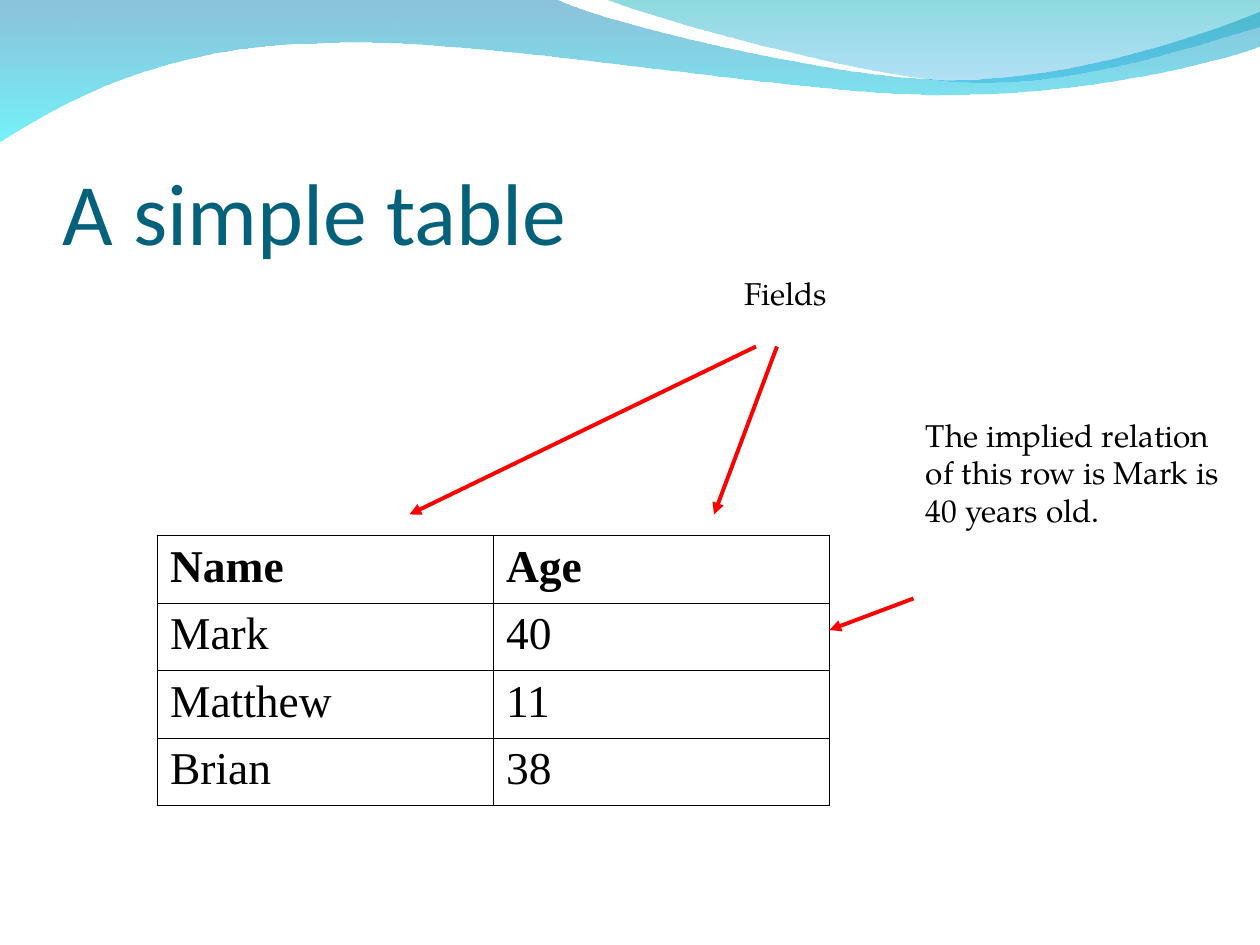
from lxml.etree import SubElement
from pptx import Presentation
from pptx.dml.color import RGBColor as RGB
from pptx.enum.shapes import MSO_CONNECTOR as CONN
from pptx.enum.text import MSO_ANCHOR as ANCHOR
from pptx.oxml.ns import qn
from pptx.util import Emu, Pt

SCALE = 914400 / 252
COLORS = {"title": "04617B", "text": "000000", "border": "000000", "arrow": "FF0000",
          "wave_blue": "0079AF", "wave_cyan": "00EBF8",
          "veil_teal": "00ADB6", "veil_blue": "009BE5"}
TITLE = {"name": "Calibri", "size": Pt(50)}
NOTE = {"name": "TeX Gyre Pagella", "size": Pt(18)}
CELL = {"name": "Times New Roman", "size": Pt(26), "bold": False}
HEADER = {**CELL, "bold": True}
ROWS = [("Name", "Age"), ("Mark", "40"), ("Matthew", "11"), ("Brian", "38")]
WAVE = [(0, -3), (1109, -3), (1200, 43, 1673, 159, 1910, 159),
        (2150, 159, 2414, 66, 2520, 23), (2523, 91),
        (2477, 111, 2192, 192, 1880, 189), (1567, 189, 963, 71, 648, 86),
        (325, 88, 116, 209, -3, 285)]
VEIL = [(0, -3), (76, 28, 512, 156, 731, 164), (950, 174, 1215, 81, 1313, 53), (1313, 0)]


def px(n):
    """Turn px into EMU."""
    return Emu(round(n * SCALE))


def write(tf, text, font, color):
    """Put one formatted run in a text frame."""
    r = tf.paragraphs[0].add_run()
    r.text = text
    for key, value in font.items():
        setattr(r.font, key, value)
    r.font.color.rgb = RGB.from_string(COLORS[color])


def add_text(slide, box, text, font, color, **frame):
    """Add a text box whose frame takes the given settings."""
    tf = slide.shapes.add_textbox(*map(px, box)).text_frame
    for key, value in {"word_wrap": True, **frame}.items():
        setattr(tf, key, value)
    write(tf, text, font, color)


def bend(s, segments):
    """Regroup the outline points into lines and cubic curves."""
    outline = next(s.element.iter(qn("a:path")))
    points = outline.iter(qn("a:pt"))
    points = iter(list(points)[1:])
    for child in list(outline)[1:]:
        outline.remove(child)
    for seg in segments[1:]:
        step = SubElement(outline, qn("a:lnTo" if len(seg) == 2 else "a:cubicBezTo"))
        step.extend([next(points) for _ in seg[::2]])
    SubElement(outline, qn("a:close"))


def add_wave(slide, left, top, segments, stops):
    """Draw a closed curve filled with a translucent downward gradient."""
    points = [(px(left + x), px(top + y))
              for seg in segments for x, y in zip(seg[::2], seg[1::2])]
    builder = slide.shapes.build_freeform(*points[0])
    builder.add_line_segments(points[1:], close=True)
    s = builder.convert_to_shape()
    bend(s, segments)
    s.shadow.inherit = False
    s.line.fill.background()
    s.fill.gradient()
    s.fill.gradient_angle = 270
    for stop, (color, _) in zip(s.fill.gradient_stops, stops):
        stop.color.rgb = RGB.from_string(COLORS[color])
    for clr, (_, opacity) in zip(s.element.spPr.iter(qn("a:srgbClr")), stops):
        SubElement(clr, qn("a:alpha"), val=str(opacity * 1000))


def add_banner(slide, left, top):
    """Draw the two waves along the upper edge."""
    add_wave(slide, left, top, WAVE, [("wave_blue", 45), ("wave_cyan", 55)])
    add_wave(slide, left + 1207, top, VEIL, [("veil_teal", 45), ("veil_blue", 30)])


def set_borders(cell, outer):
    """Draw the four cell borders, heavier on the outer sides."""
    tc_pr = cell._tc.get_or_add_tcPr()
    for side in "LRTB":
        width = Pt(1.08 if side in outer else 0.45)
        ln = SubElement(tc_pr, qn(f"a:ln{side}"), w=str(width))
        SubElement(SubElement(ln, qn("a:solidFill")), qn("a:srgbClr"), val=COLORS["border"])


def add_people(slide, left, top, width, height):
    """Add the table of names and ages."""
    rows, cols = len(ROWS), len(ROWS[0])
    table = slide.shapes.add_table(rows, cols, *map(px, (left, top, width, height))).table
    table.first_row = table.horz_banding = False
    for i, row in enumerate(ROWS):
        table.rows[i].height = px(height / rows)
        for j, text in enumerate(row):
            table.columns[j].width = px(width / cols)
            cell = table.cell(i, j)
            edges = {"L": j == 0, "R": j == cols - 1, "T": i == 0, "B": i == rows - 1}
            set_borders(cell, [side for side, outer in edges.items() if outer])
            cell.fill.background()
            write(cell.text_frame, text, CELL if i else HEADER, "text")


def add_arrow(slide, start, end):
    """Draw a red arrow that points at its end."""
    s = slide.shapes.add_connector(CONN.STRAIGHT, *map(px, (*start, *end)))
    s.line.width = Pt(2.25)
    s.line.color.rgb = RGB.from_string(COLORS["arrow"])
    SubElement(s.line._get_or_add_ln(), qn("a:tailEnd"), type="triangle")
    SubElement(s.element.spPr, qn("a:effectLst"))


def add_fields_note(slide, left, top):
    """Label the columns, with an arrow to each header."""
    add_text(slide, (left, top, 227, 101), "Fields", NOTE, "text", word_wrap=False)
    add_arrow(slide, (left + 48, top + 157), (left - 645, top + 493))
    add_arrow(slide, (left + 90, top + 157), (left - 36, top + 493))


def add_row_note(slide, left, top):
    """Explain the first data row, with an arrow to it."""
    add_text(slide, (left, top, 651, 328),
             "The implied relation of this row is Mark is 40 years old.", NOTE, "text")
    add_arrow(slide, (left, top + 378), (left - 168, top + 441))


def main():
    """Build and save the slide."""
    prs = Presentation()
    prs.slide_width, prs.slide_height = px(2520), px(1890)
    slide = prs.slides.add_slide(prs.slide_layouts[6])
    add_banner(slide, 0, 0)
    add_text(slide, (126, 210, 2268, 315), "A simple table", TITLE, "title",
             vertical_anchor=ANCHOR.BOTTOM, margin_left=0, margin_right=0, margin_bottom=0)
    add_people(slide, 315, 1071, 1344, 540)
    add_fields_note(slide, 1464, 536)
    add_row_note(slide, 1827, 819)
    prs.save("out.pptx")


if __name__ == "__main__":
    main()
